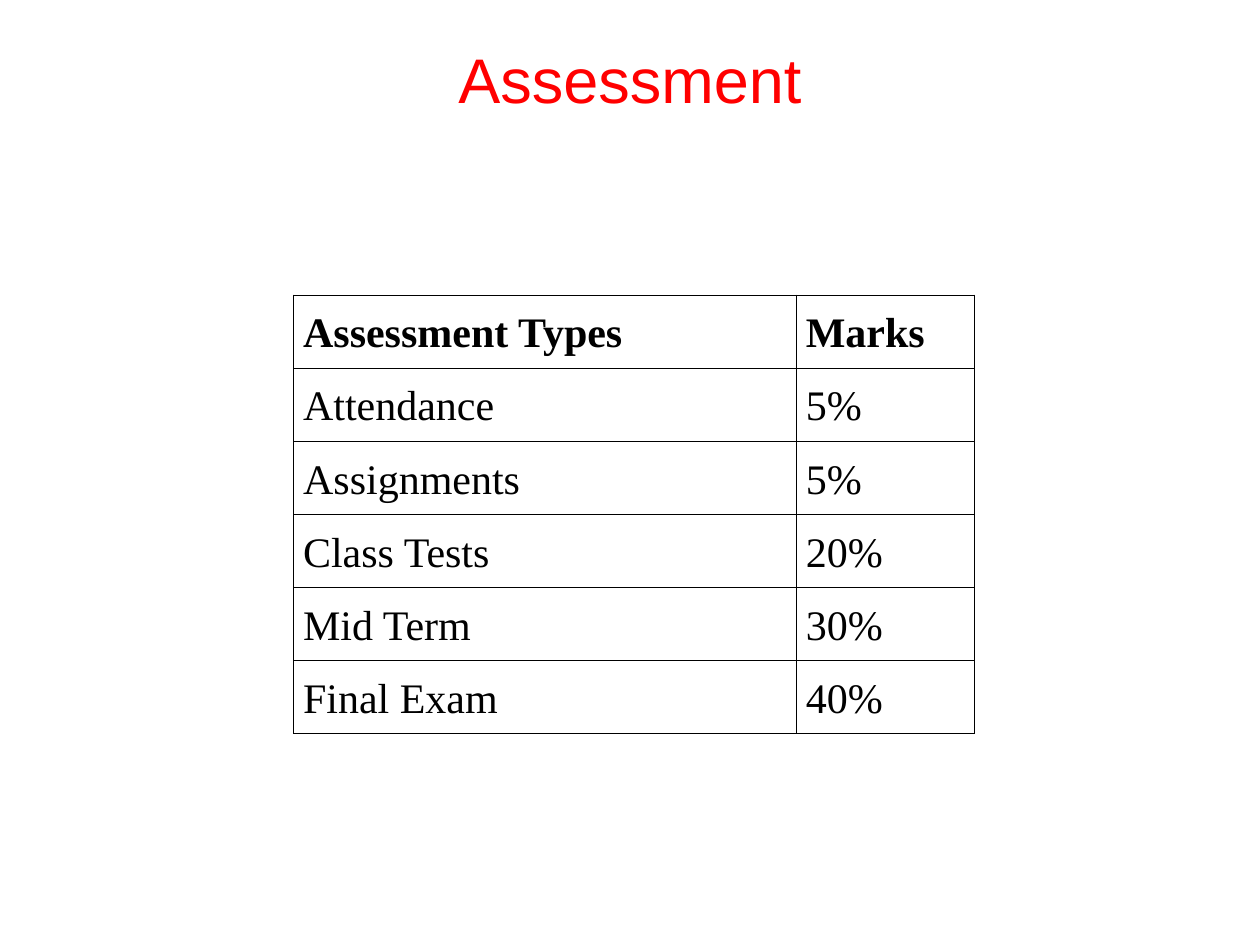
from dataclasses import dataclass

from lxml import etree
from pptx import Presentation
from pptx.dml.color import RGBColor
from pptx.enum.text import MSO_ANCHOR, PP_ALIGN
from pptx.oxml.ns import qn
from pptx.util import Pt

CENTER, JUSTIFY = PP_ALIGN.CENTER, PP_ALIGN.JUSTIFY
MIDDLE = MSO_ANCHOR.MIDDLE


@dataclass(frozen=True)
class Theme:
    title_font: str = "Arial"
    title_size: float = 36
    title_color: str = "FF0000"
    body_font: str = "Times New Roman"
    body_size: float = 24
    body_color: str = "000000"
    border_color: str = "000000"
    border_width: float = 0.45


THEME = Theme()
COL_WIDTHS = (287.3, 101.5)
HEADER_HEIGHT, ROW_HEIGHT = 39.6, 34.5
ROWS = (
    ("Assessment Types", "Marks"),
    ("Attendance", "5%"),
    ("Assignments", "5%"),
    ("Class Tests", "20%"),
    ("Mid Term", "30%"),
    ("Final Exam", "40%"),
)


def set_text(tf, text, *, font, size, color, align, bold=False, spacing=None):
    tf.word_wrap = True
    p = tf.paragraphs[0]
    p.alignment = align
    p.line_spacing = spacing
    r = p.add_run()
    r.text = text
    r.font.name = font
    r.font.size = Pt(size)
    r.font.bold = bold
    r.font.color.rgb = RGBColor.from_string(color)


def set_borders(cell):
    tc_pr = cell._tc.get_or_add_tcPr()
    for i, side in enumerate(("lnL", "lnR", "lnT", "lnB")):
        ln = etree.Element(qn(f"a:{side}"), w=str(Pt(THEME.border_width)))
        fill = etree.SubElement(ln, qn("a:solidFill"))
        etree.SubElement(fill, qn("a:srgbClr"), val=THEME.border_color)
        tc_pr.insert(i, ln)


def add_title(s, text):
    sp = s.shapes.add_textbox(0, 0, Pt(720), Pt(90))
    tf = sp.text_frame
    tf.vertical_anchor = MIDDLE
    set_text(tf, text, font=THEME.title_font, size=THEME.title_size,
             color=THEME.title_color, align=CENTER)


def add_marks_table(s, rows, left, top):
    height = HEADER_HEIGHT + ROW_HEIGHT * (len(rows) - 1)
    table = s.shapes.add_table(len(rows), len(COL_WIDTHS), Pt(left), Pt(top),
                               Pt(sum(COL_WIDTHS)), Pt(height)).table
    table.first_row = table.horz_banding = False
    for col, width in zip(table.columns, COL_WIDTHS):
        col.width = Pt(width)
    for i, values in enumerate(rows):
        header = i == 0
        table.rows[i].height = Pt(HEADER_HEIGHT if header else ROW_HEIGHT)
        for j, text in enumerate(values):
            cell = table.cell(i, j)
            cell.fill.background()
            cell.margin_left = cell.margin_right = Pt(5.4)
            cell.margin_top = cell.margin_bottom = Pt(3.6)
            set_borders(cell)
            set_text(cell.text_frame, text, font=THEME.body_font,
                     size=THEME.body_size, color=THEME.body_color,
                     align=JUSTIFY, bold=header, spacing=1.2)


def main():
    prs = Presentation()
    prs.slide_width, prs.slide_height = Pt(720), Pt(540)
    s = prs.slides.add_slide(prs.slide_layouts[6])
    add_title(s, "Assessment")
    add_marks_table(s, ROWS, 167.8, 168.5)
    prs.save("out.pptx")


if __name__ == "__main__":
    main()
